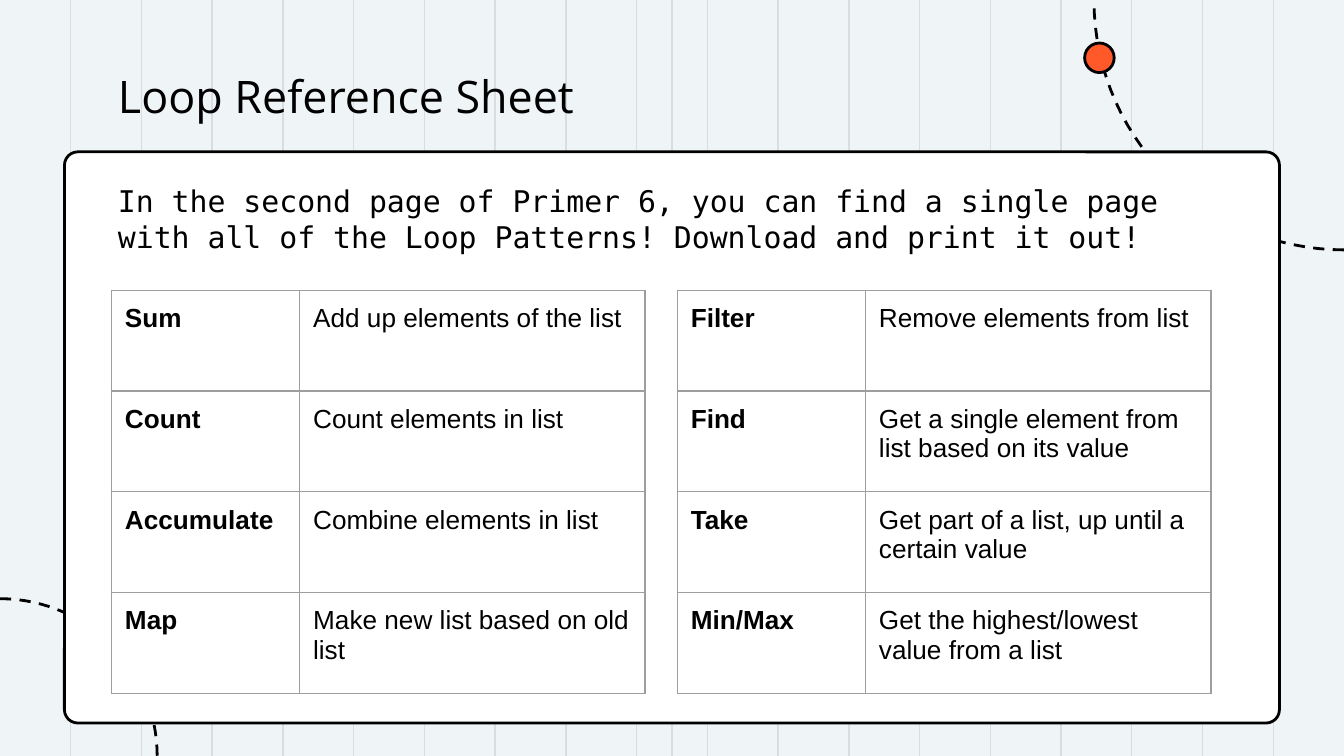
import math

import pptx
import pptx.dml.color
import pptx.enum.dml
import pptx.enum.shapes
import pptx.enum.text
import pptx.oxml
import pptx.oxml.ns
import pptx.util
from lxml import etree

Inches = pptx.util.Inches
Pt = pptx.util.Pt
RGBColor = pptx.dml.color.RGBColor
SHAPE = pptx.enum.shapes.MSO_SHAPE
ANCHOR = pptx.enum.text.MSO_ANCHOR
qn = pptx.oxml.ns.qn

BLACK = RGBColor(0, 0, 0)
WHITE = RGBColor(0xFF, 0xFF, 0xFF)
PAPER = RGBColor(0xEF, 0xF4, 0xF6)
RULE = RGBColor(0xD9, 0xDD, 0xDF)
ORANGE = RGBColor(0xFF, 0x59, 0x2A)
BORDER = RGBColor(0x9E, 0x9E, 0x9E)

WIDE = 10
HIGH = WIDE * 9 / 16

LEFT = [
    ("Sum", "Add up elements of the list"),
    ("Count", "Count elements in list"),
    ("Accumulate", "Combine elements in list"),
    ("Map", "Make new list based on old list"),
]
RIGHT = [
    ("Filter", "Remove elements from list"),
    ("Find", "Get a single element from list based on its value"),
    ("Take", "Get part of a list, up until a certain value"),
    ("Min/Max", "Get the highest/lowest value from a list"),
]


def add_rule(slide, x):
    rule = slide.shapes.add_connector(
        pptx.enum.shapes.MSO_CONNECTOR.STRAIGHT,
        Inches(x), 0, Inches(x), Inches(HIGH))
    rule.line.color.rgb = RULE
    rule.line.width = Pt(0.75)
    etree.SubElement(rule._element.spPr, qn("a:effectLst"))


def set_line(shape):
    shape.shadow.inherit = False
    shape.line.color.rgb = BLACK
    shape.line.width = Pt(1.5)


def add_arc(slide, x, y, radius, start):
    """Draw a dashed quarter circle around x, y, from the start angle."""
    points = []
    for step in range(31):
        angle = math.radians(start + 3 * step)
        points.append((Inches(x + radius * math.cos(angle)),
                       Inches(y + radius * math.sin(angle))))
    pen = slide.shapes.build_freeform(*points[0])
    pen.add_line_segments(points[1:], close=False)
    arc = pen.convert_to_shape()
    arc.fill.background()
    set_line(arc)
    arc.line.dash_style = pptx.enum.dml.MSO_LINE.DASH


def add_shape(slide, kind, box, color):
    shape = slide.shapes.add_shape(kind, *map(Inches, box))
    shape.fill.solid()
    shape.fill.fore_color.rgb = color
    set_line(shape)
    return shape


def set_font(para, name, size, bold=False):
    para.font.name = name
    para.font.size = Pt(size)
    para.font.bold = bold
    para.font.color.rgb = BLACK


def set_inset(area):
    area.margin_left = area.margin_right = Inches(0.1)
    area.margin_top = area.margin_bottom = Inches(0.1)


def add_text(slide, box, text, name, size):
    frame = slide.shapes.add_textbox(*map(Inches, box)).text_frame
    frame.word_wrap = True
    frame.vertical_anchor = ANCHOR.TOP
    set_inset(frame)
    para = frame.paragraphs[0]
    para.text = text
    set_font(para, name, size)


def set_border(cell):
    props = cell._tc.get_or_add_tcPr()
    for index, side in enumerate(("lnL", "lnR", "lnT", "lnB")):
        line = etree.Element(qn("a:" + side), w=str(Pt(0.75)))
        fill = etree.SubElement(line, qn("a:solidFill"))
        etree.SubElement(fill, qn("a:srgbClr"), val=str(BORDER))
        props.insert(index, line)


def add_table(slide, x, rows):
    widths, high = (1.4, 2.57), 0.75
    table = slide.shapes.add_table(
        len(rows), 2, Inches(x), Inches(2.16),
        Inches(sum(widths)), Inches(high * len(rows))).table
    table.first_row = table.horz_banding = False
    for col, width in zip(table.columns, widths):
        col.width = Inches(width)
    for r, row in enumerate(rows):
        table.rows[r].height = Inches(high)
        for c, text in enumerate(row):
            cell = table.cell(r, c)
            cell.fill.background()
            set_border(cell)
            set_inset(cell)
            para = cell.text_frame.paragraphs[0]
            para.text = text
            set_font(para, "Arial", 14, bold=c == 0)


def main():
    deck = pptx.Presentation()
    deck.slide_width, deck.slide_height = Inches(WIDE), Inches(HIGH)
    slide = deck.slides.add_slide(deck.slide_layouts[6])
    slide.background.fill.solid()
    slide.background.fill.fore_color.rgb = PAPER

    # Ruled backdrop, with one extra line in the middle
    for n in range(1, 19):
        add_rule(slide, n * WIDE / 19)
    add_rule(slide, WIDE / 2)

    # Dashed arcs in two corners
    add_arc(slide, 0, HIGH, 1.17, 270)
    add_arc(slide, WIDE, 0, 1.86, 90)

    # Card and dot
    card = add_shape(slide, SHAPE.ROUNDED_RECTANGLE,
                     (0.48, 1.13, 9.04, 4.25), WHITE)
    card.adjustments[0] = 0.1 / 4.25
    add_shape(slide, SHAPE.OVAL, (8.07, 0.32, 0.22, 0.22), ORANGE)

    # Title and intro
    add_text(slide, (0.78, 0.41, 8.44, 0.63), "Loop Reference Sheet",
             "Open Sans", 24)
    add_text(slide, (0.78, 1.26, 8.44, 0.84),
             "In the second page of Primer 6, you can find a single page "
             "with all of the Loop Patterns! Download and print it out!",
             "DejaVu Sans Mono", 16)

    # Loop patterns
    add_table(slide, 0.83, LEFT)
    add_table(slide, 5.04, RIGHT)

    deck.save("out.pptx")


if __name__ == "__main__":
    main()
